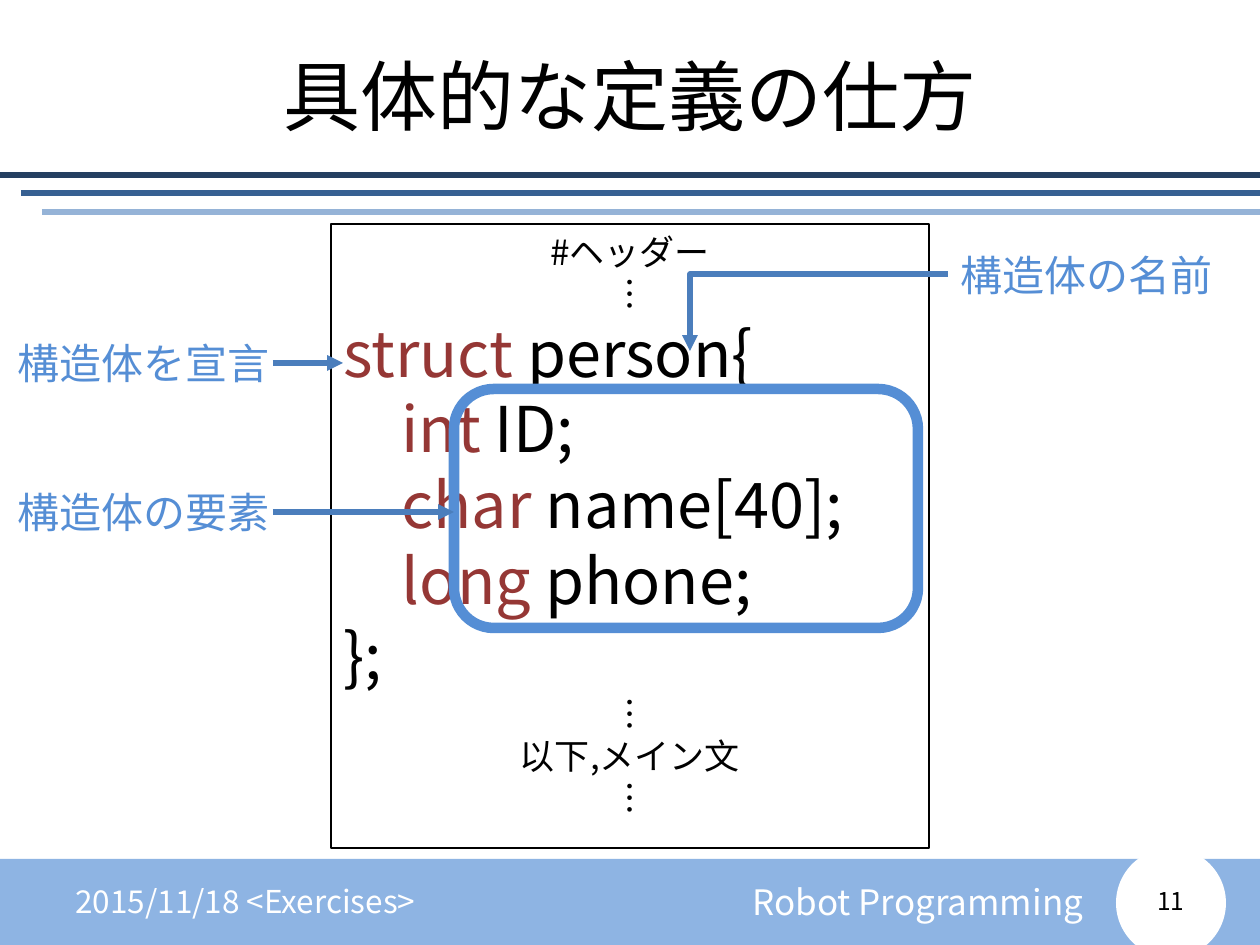
from lxml import etree
from pptx import Presentation
from pptx import util as u
from pptx.dml.color import RGBColor
from pptx.enum import shapes, text
from pptx.oxml import ns

FONT = "Noto Sans CJK JP"
BLACK = RGBColor(0x00, 0x00, 0x00)
WHITE = RGBColor(0xFF, 0xFF, 0xFF)
KEYWORD = RGBColor(0x95, 0x37, 0x35)
LABEL = RGBColor(0x55, 0x8E, 0xD5)
ARROW = RGBColor(0x4B, 0x7E, 0xBC)
BAND = RGBColor(0x8E, 0xB4, 0xE3)
NAVY = RGBColor(0x25, 0x40, 0x61)
STEEL = RGBColor(0x37, 0x60, 0x92)
PALE = RGBColor(0x95, 0xB3, 0xD7)

LEFT, CENTER, RIGHT = text.PP_ALIGN.LEFT, text.PP_ALIGN.CENTER, text.PP_ALIGN.RIGHT
KINDS = shapes.MSO_SHAPE
SCALE = 914400 // 126  # EMU per pixel

# Content
TITLE = "具体的な定義の仕方"
RULES = [(0, 175, NAVY), (21, 193, STEEL), (42, 212, PALE)]  # left, y, colour
FOOTER = [  # text, box, size, colour, alignment
    ("2015/11/18 <Exercises>", (63, 876, 369, 50), 18, WHITE, LEFT),
    ("Robot Programming", (740, 874, 392, 55), 20, WHITE, LEFT),
    ("11", (903, 876, 294, 50), 14, BLACK, RIGHT),
]
CODE = [  # keyword, rest, size, alignment, indent
    ("", "#ヘッダー", 20, CENTER, 0),
    ("", "︙", 20, CENTER, 0),
    ("struct", " person{", 36, LEFT, 0),
    ("int", " ID;", 36, LEFT, 58),
    ("char", " name[40];", 36, LEFT, 58),
    ("long", " phone;", 36, LEFT, 58),
    ("", "};", 36, LEFT, 0),
    ("", "︙", 20, CENTER, 0),
    ("", "以下,メイン文".replace(",", ","), 20, CENTER, 0),
    ("", "︙", 20, CENTER, 0),
]
LABELS = [  # text, left, top, arrow start, arrow end
    ("構造体を宣言", 5, 331, (273, 363), (343, 363)),
    ("構造体の名前", 948, 243, (948, 274), (690, 351)),
    ("構造体の要素", 5, 480, (273, 512), (454, 512)),
]

prs = Presentation()
prs.slide_width, prs.slide_height = u.Inches(10), u.Inches(7.5)
s = prs.slides.add_slide(prs.slide_layouts[5])


def px(*values):
    return [u.Emu(v * SCALE) for v in values]


def style(r, size, color):
    r.font.size, r.font.name, r.font.color.rgb = u.Pt(size), FONT, color
    ea = etree.SubElement(r._r.get_or_add_rPr(), ns.qn("a:ea"))
    ea.set("typeface", FONT)


def write(sp, words, size, color, align=LEFT, wrap=True):
    tf = sp.text_frame
    tf.text = words
    tf.word_wrap = wrap
    tf.vertical_anchor = text.MSO_ANCHOR.MIDDLE
    p = tf.paragraphs[0]
    p.alignment = align
    style(p.runs[0], size, color)


def add_box(kind, box, fill=None, line=None, width=1):
    sp = s.shapes.add_shape(kind, *px(*box))
    sp.shadow.inherit = False
    if fill is None:
        sp.fill.background()
    else:
        sp.fill.solid()
        sp.fill.fore_color.rgb = fill
    if line is None:
        sp.line.fill.background()
    else:
        sp.line.color.rgb, sp.line.width = line, u.Pt(width)
    return sp


def add_line(start, end, color, arrow=False):
    bent = start[0] != end[0] and start[1] != end[1]
    kind = shapes.MSO_CONNECTOR.ELBOW if bent else shapes.MSO_CONNECTOR.STRAIGHT
    c = s.shapes.add_connector(kind, *px(*start, *end))
    c.line.color.rgb, c.line.width = color, u.Pt(3)
    spPr = c._element.spPr
    if arrow:
        etree.SubElement(c.line._get_or_add_ln(), ns.qn("a:tailEnd")).set("type", "triangle")
    if bent:  # turn at the far end
        guides = spPr.find(ns.qn("a:prstGeom")).get_or_add_avLst()
        gd = etree.SubElement(guides, ns.qn("a:gd"))
        gd.set("name", "adj1")
        gd.set("fmla", "val 100000")
    etree.SubElement(spPr, ns.qn("a:effectLst"))


# Footer band and rules
add_box(KINDS.RECTANGLE, (0, 859, 1260, 86), BAND)
add_box(KINDS.OVAL, (1116, 848, 110, 110), WHITE)
for left, y, color in RULES:
    add_line((left, y), (1260, y), color)
for words, box, size, color, align in FOOTER:
    write(s.shapes.add_textbox(*px(*box)), words, size, color, align)

# Title
title = s.shapes.title
title.left, title.top, title.width, title.height = px(63, 16, 1134, 158)
write(title, TITLE, 44, BLACK, CENTER)

# Code listing
listing = add_box(KINDS.RECTANGLE, (331, 224, 598, 624), line=BLACK, width=0.75)
tf = listing.text_frame
tf.word_wrap = True
tf.vertical_anchor = text.MSO_ANCHOR.TOP
for i, (keyword, rest, size, align, indent) in enumerate(CODE):
    p = tf.paragraphs[0] if i == 0 else tf.add_paragraph()
    p.alignment = align
    if indent:
        p._p.get_or_add_pPr().set("marL", str(indent * SCALE))
    for words, color in ((keyword, KEYWORD), (rest, BLACK)):
        if words:
            r = p.add_run()
            r.text = words
            style(r, size, color)

# Member frame, labels and arrows
add_box(KINDS.ROUNDED_RECTANGLE, (454, 389, 464, 239), line=LABEL, width=6)
for words, left, top, start, end in LABELS:
    add_line(start, end, ARROW, arrow=True)
    write(s.shapes.add_textbox(*px(left, top, 279, 63)), words, 24, LABEL, wrap=False)

prs.save("out.pptx")
